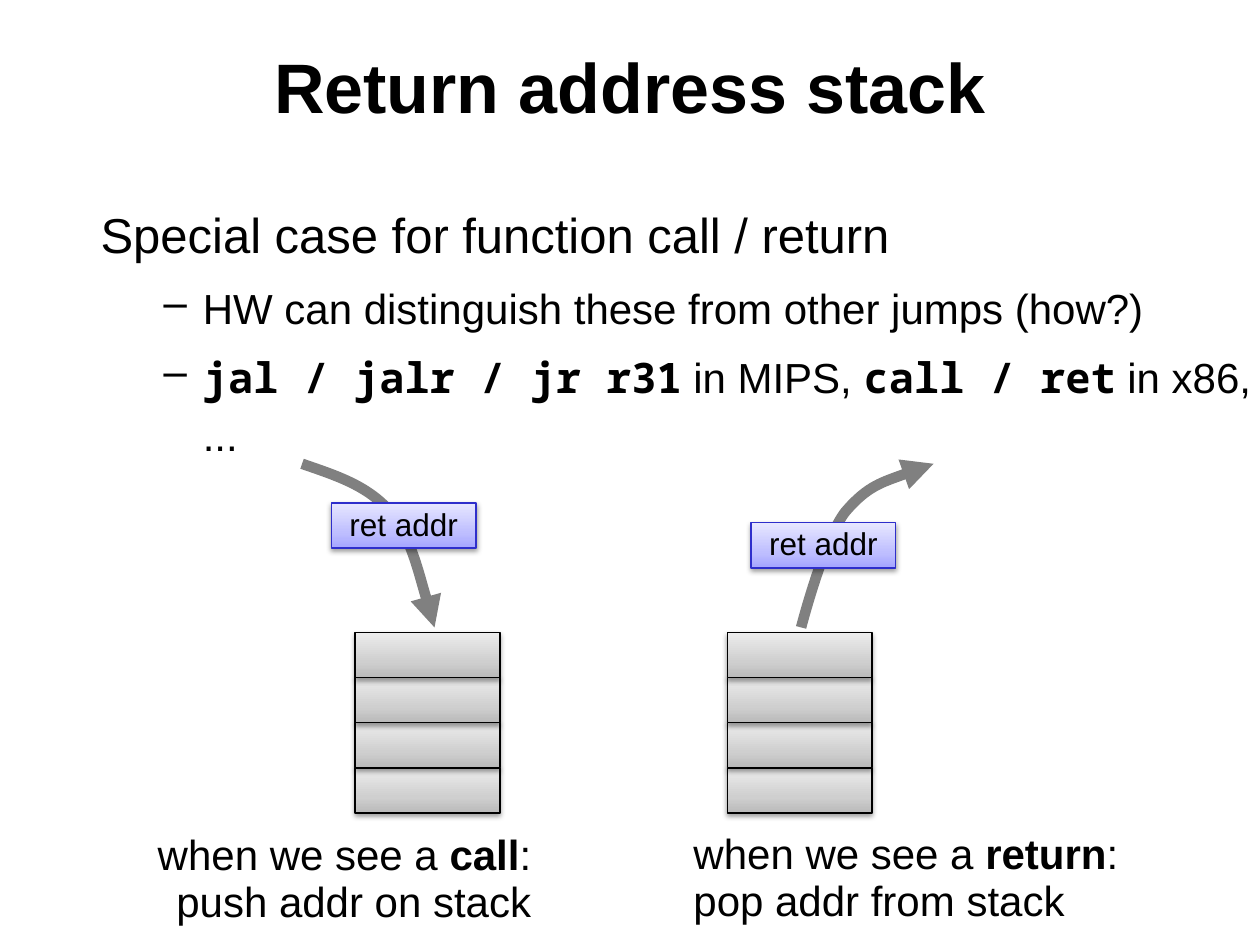
from lxml.etree import SubElement
from pptx import Presentation
from pptx.dml.color import RGBColor
from pptx.enum.shapes import MSO_SHAPE
from pptx.enum.text import MSO_ANCHOR, PP_ALIGN
from pptx.oxml.ns import qn
from pptx.util import Cm, Pt

SANS, MONO = "Arial", "Noto Sans Mono"
GREY = ("BABABA", "CFCFCF", "EDEDED")
BLUE = ("A5A5FF", "BFBFFF", "E7E7FF")
CELL_WIDTH, CELL_HEIGHT, CELL_COUNT = 2.92, 0.91, 4
STACK_DROP = 3.4
CURVE_WIDTH = 2.67
# Start point, then two cubic segments of three points each
CURVE = [(0, 0), (0.66, 0.23), (1.32, 0.43), (1.78, 0.97),
         (2.21, 1.52), (2.67, 3.3), (2.67, 3.3)]


def color(hex_value):
    return RGBColor.from_string(hex_value)


def add_xml(parent, tag, **attributes):
    return SubElement(parent, qn(tag), attributes)


def set_frame(shape, anchor=MSO_ANCHOR.TOP, wrap=True):
    frame = shape.text_frame
    settings = {"vertical_anchor": anchor, "word_wrap": wrap}
    for side in ("left", "top", "right", "bottom"):
        settings[f"margin_{side}"] = Cm(0.13)
    for name, value in settings.items():
        setattr(frame, name, value)
    return frame


def fill_para(para, spans, size, **formats):
    """Write (text, font name, bold) spans into a paragraph."""
    for name, value in formats.items():
        setattr(para, name, value)
    for text, font_name, bold in spans:
        span = para.add_run()
        span.text = text
        for name, value in {"size": Pt(size), "name": font_name, "bold": bold}.items():
            setattr(span.font, name, value)
        span.font.color.rgb = color("000000")


def add_text(page, box, paragraphs, size, wrap=True, anchor=MSO_ANCHOR.TOP, **formats):
    shape = page.shapes.add_textbox(*map(Cm, box))
    frame = set_frame(shape, anchor, wrap)
    for index, spans in enumerate(paragraphs):
        para = frame.add_paragraph() if index else frame.paragraphs[0]
        fill_para(para, spans, size, **formats)


def add_body(page, box):
    frame = set_frame(page.shapes.add_textbox(*map(Cm, box)))
    fill_para(frame.paragraphs[0],
              [("Special case for function call / return", SANS, False)],
              28, line_spacing=1.16)
    items = [
        [("HW can distinguish these from other jumps (how?)", SANS, False)],
        [("jal / jalr / jr r31", MONO, True), (" in MIPS, ", SANS, False),
         ("call / ret", MONO, True), (" in x86, ...", SANS, False)],
    ]
    for spans in items:
        para = frame.add_paragraph()
        properties = para._p.get_or_add_pPr()
        properties.set("marL", str(Cm(2.06)))
        properties.set("indent", str(Cm(-0.79)))
        add_xml(properties, "a:buChar", char="–")
        fill_para(para, spans, 24, line_spacing=1.16, space_before=Pt(6))


def add_block(page, left, top, shades, line_color):
    """Add a rectangle with an upward gradient and a soft shadow."""
    block = page.shapes.add_shape(
        MSO_SHAPE.RECTANGLE, *map(Cm, (left, top, CELL_WIDTH, CELL_HEIGHT)))
    block.shadow.inherit = False
    block.fill.gradient()
    block.fill.gradient_angle = 90
    properties = block._element.spPr
    stops = properties.find(".//" + qn("a:gsLst"))
    for stop in list(stops):
        stops.remove(stop)
    for percent, shade in zip((0, 35, 100), shades):
        stop = add_xml(stops, "a:gs", pos=str(percent * 1000))
        add_xml(stop, "a:srgbClr", val=shade)
    block.line.color.rgb = color(line_color)
    block.line.width = Pt(0.75)
    shadow = add_xml(properties.find(qn("a:effectLst")), "a:outerShdw",
                     blurRad=str(Pt(3)), dist=str(Pt(1.6)), dir="5400000",
                     rotWithShape="0")
    tint = add_xml(shadow, "a:srgbClr", val="000000")
    add_xml(tint, "a:alpha", val="38000")
    return block


def add_curve(page, left, top, mirrored, arrow_end):
    points = [(Cm(left + (CURVE_WIDTH - x if mirrored else x)), Cm(top + y))
              for x, y in CURVE]
    builder = page.shapes.build_freeform(*points[0])
    builder.add_line_segments(points[1:], close=False)
    curve = builder.convert_to_shape()
    curve.shadow.inherit = False
    curve.fill.background()
    curve.line.color.rgb = color("808080")
    curve.line.width = Pt(6)
    add_xml(curve.line._get_or_add_ln(), arrow_end, type="triangle")
    outline = curve._element.spPr.find(".//" + qn("a:path"))
    lines = outline.findall(qn("a:lnTo"))
    for start in range(0, len(lines), 3):
        bezier = add_xml(outline, "a:cubicBezTo")
        for line in lines[start:start + 3]:
            bezier.append(line[0])
            outline.remove(line)


def add_stack(page, left, top, curve_x, mirrored, arrow_end, tag, caption, words, align):
    """Draw one stack with its arrow, tag and caption, offset from left and top."""
    caption_x, caption_y, caption_width = caption
    add_text(page, (left + caption_x, top + caption_y, caption_width, 2.13), words,
             24, wrap=False, alignment=align, line_spacing=0.93)
    for row in reversed(range(CELL_COUNT)):
        add_block(page, left, top + STACK_DROP + row * CELL_HEIGHT, GREY, "000000")
    add_curve(page, left + curve_x, top, mirrored, arrow_end)
    block = add_block(page, left + tag[0], top + tag[1], BLUE, "2E2ECB")
    frame = set_frame(block, MSO_ANCHOR.MIDDLE)
    fill_para(frame.paragraphs[0], [("ret addr", SANS, False)], 18,
              alignment=PP_ALIGN.CENTER, line_spacing=0.93)


def caption_words(event, action):
    return [[("when we see a ", SANS, False), (event, SANS, True), (":", SANS, False)],
            [(action, SANS, False)]]


def main():
    deck = Presentation()
    deck.slide_width, deck.slide_height = Cm(25.4), Cm(19.05)
    page = deck.slides.add_slide(deck.slide_layouts[6])
    add_text(page, (1.9, -0.23, 21.6, 3.63), [[("Return address stack", SANS, True)]],
             40, anchor=MSO_ANCHOR.MIDDLE, alignment=PP_ALIGN.CENTER, line_spacing=1.16)
    add_body(page, (1.9, 3.81, 23.5, 5.26))
    add_stack(page, 7.16, 9.35, curve_x=-1.07, mirrored=False, arrow_end="a:tailEnd",
              tag=(-0.48, 0.79), caption=(-4.14, 7.32, 7.82),
              words=caption_words("call", "push addr on stack"), align=PP_ALIGN.RIGHT)
    add_stack(page, 14.66, 9.35, curve_x=1.49, mirrored=True, arrow_end="a:headEnd",
              tag=(0.48, 1.19), caption=(-0.81, 7.29, 8.86),
              words=caption_words("return", "pop addr from stack"), align=PP_ALIGN.LEFT)
    deck.save("out.pptx")


if __name__ == "__main__":
    main()
